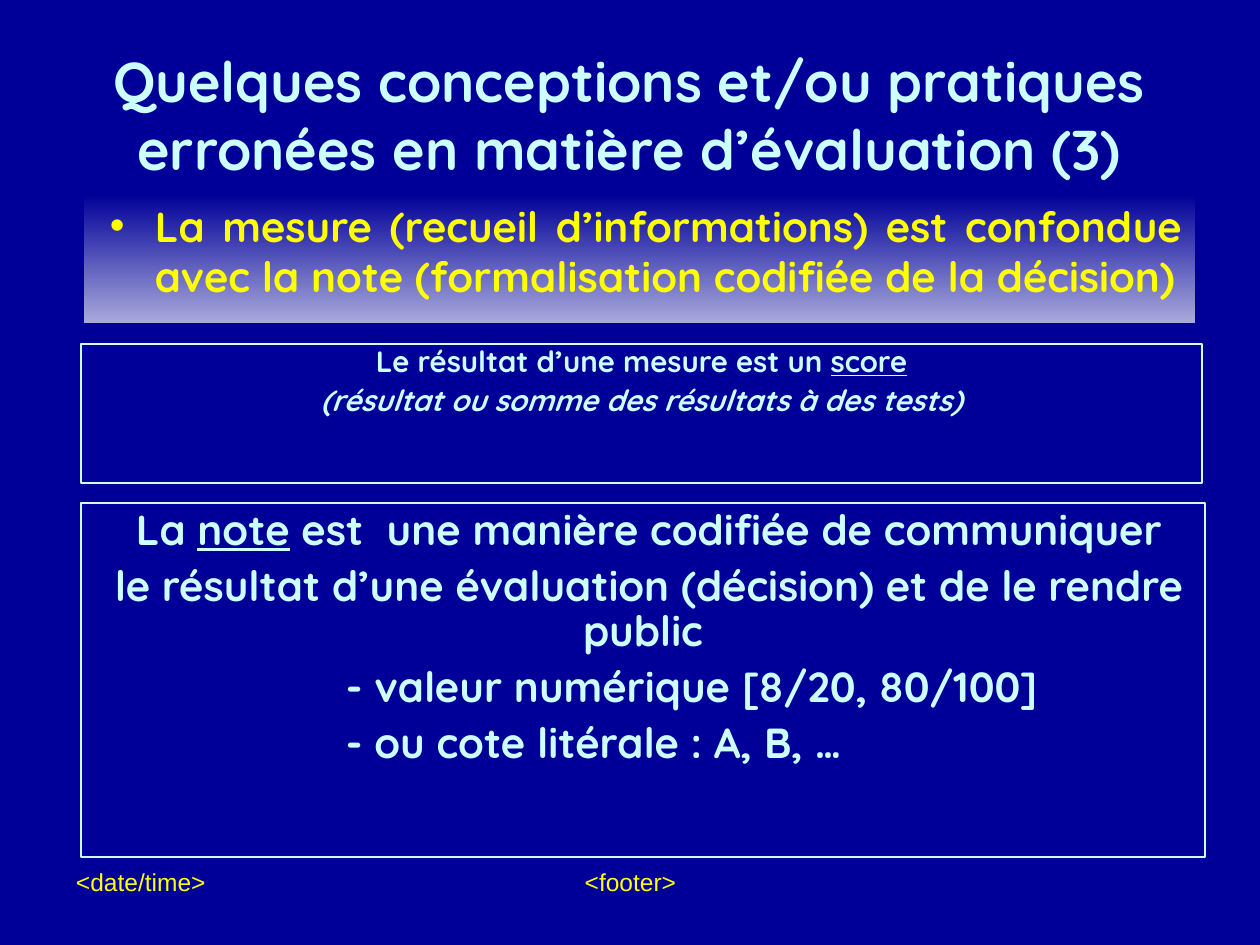
from pptx import Presentation
from pptx.dml.color import RGBColor
from pptx.enum.shapes import MSO_SHAPE as Shape
from pptx.enum.text import MSO_ANCHOR as Anchor, MSO_AUTO_SIZE as AutoSize, PP_ALIGN as Align
from pptx.oxml.ns import qn
from pptx.util import Emu, Pt
from lxml.etree import SubElement

NAVY = RGBColor(0x00, 0x00, 0x99)
LAVENDER = RGBColor(0xA9, 0xA9, 0xDC)
ICE = RGBColor(0xCC, 0xFF, 0xFF)
YELLOW = RGBColor(0xFF, 0xFF, 0x00)
EMU_PER_PX = 914400 / 126


def px(value):
    return Emu(round(value * EMU_PER_PX))


def apply(target, values):
    for name, value in values.items():
        setattr(target, name, value)


class SlideBuilder:
    heading = {"name": "Quicksand", "bold": True, "color": ICE}
    small = {"name": "Arial", "bold": False, "color": YELLOW, "size": Pt(14)}

    def __init__(self, slide):
        self.slide = slide
        self.slide.background.fill.solid()
        self.slide.background.fill.fore_color.rgb = NAVY

    def place(self, shape, box):
        apply(shape, dict(zip(("left", "top", "width", "height"), map(px, box))))

    def style(self, font, values):
        apply(font, {key: value for key, value in values.items() if key != "color"})
        font.color.rgb = values["color"]

    def fill_text(self, shape, paragraphs, font, layout, anchor=Anchor.TOP):
        frame = shape.text_frame
        apply(frame, {
            "word_wrap": True, "auto_size": AutoSize.NONE, "vertical_anchor": anchor,
            "margin_left": px(13), "margin_right": px(13),
            "margin_top": px(6), "margin_bottom": px(6),
        })
        for index, (runs, indent) in enumerate(paragraphs):
            paragraph = frame.add_paragraph() if index else frame.paragraphs[0]
            apply(paragraph, {"space_before": Pt(6 if index else 0), **layout})
            if indent:
                paragraph.alignment = Align.LEFT
                paragraph._p.get_or_add_pPr().set("marL", str(px(indent)))
            for text, emphasis in runs:
                run = paragraph.add_run()
                run.text = text
                self.style(run.font, {**font, **emphasis})

    def title(self, text, box):
        title = self.slide.shapes.title
        self.place(title, box)
        self.fill_text(title, [([(text, {})], 0)], {**self.heading, "size": Pt(32)},
                       {"alignment": Align.CENTER}, Anchor.MIDDLE)

    def bullet_band(self, text, box):
        band = self.slide.placeholders[1]
        self.place(band, box)
        band.fill.gradient()
        band.fill.gradient_angle = 270
        for stop, color, position in zip(band.fill.gradient_stops, (NAVY, LAVENDER), (0, 1)):
            stop.color.rgb = color
            stop.position = position
        properties = band.text_frame.paragraphs[0]._p.get_or_add_pPr()
        properties.set("marL", str(px(58)))
        properties.set("indent", str(px(-45)))
        bullet_color = SubElement(properties, qn("a:buClr"))
        SubElement(bullet_color, qn("a:srgbClr")).set("val", str(YELLOW))
        SubElement(properties, qn("a:buChar")).set("char", "•")
        self.fill_text(band, [([(text, {})], 0)],
                       {**self.heading, "color": YELLOW, "size": Pt(24)},
                       {"alignment": Align.JUSTIFY})

    def framed_text(self, paragraphs, box, size, spacing):
        frame = self.slide.shapes.add_shape(Shape.RECTANGLE, *map(px, box))
        frame.shadow.inherit = False
        frame.fill.background()
        frame.line.color.rgb = ICE
        frame.line.width = Pt(0.75)
        self.fill_text(frame, paragraphs, {**self.heading, "size": Pt(size)},
                       {"alignment": Align.CENTER, "line_spacing": spacing})

    def label(self, text, box, alignment):
        label = self.slide.shapes.add_textbox(*map(px, box))
        self.fill_text(label, [([(text, {})], 0)], self.small, {"alignment": alignment})


def main():
    deck = Presentation()
    deck.slide_width, deck.slide_height = px(1260), px(945)
    builder = SlideBuilder(deck.slides.add_slide(deck.slide_layouts[1]))
    underlined = {"underline": True}

    builder.label("<footer>", (431, 861, 399, 66), Align.CENTER)
    builder.label("<date/time>", (63, 861, 294, 66), Align.LEFT)
    builder.title("Quelques conceptions et/ou pratiques erronées en matière d’évaluation (3)",
                  (94, 35, 1071, 158))
    builder.bullet_band("La mesure (recueil d’informations) est confondue avec la note "
                        "(formalisation codifiée de la décision)", (84, 194, 1111, 129))

    score = [
        ([("Le résultat d’une mesure est un ", {}), ("score", underlined)], 0),
        ([("(résultat ou somme des résultats à des tests)", {"italic": True})], 0),
    ]
    builder.framed_text(score, (81, 344, 1121, 139), 16.8, 0.8)

    note = [
        ([(" La ", {}), ("note", underlined),
          (" est  une manière codifiée de communiquer", {})], 0),
        ([(" le résultat d’une évaluation (décision) et de le rendre public", {})], 0),
        ([("- valeur numérique [8/20, 80/100]", {})], 252),
        ([("- ou cote litérale : A, B, …", {})], 252),
    ]
    builder.framed_text(note, (81, 503, 1124, 354), 24, 0.9)

    deck.save("out.pptx")


if __name__ == "__main__":
    main()
